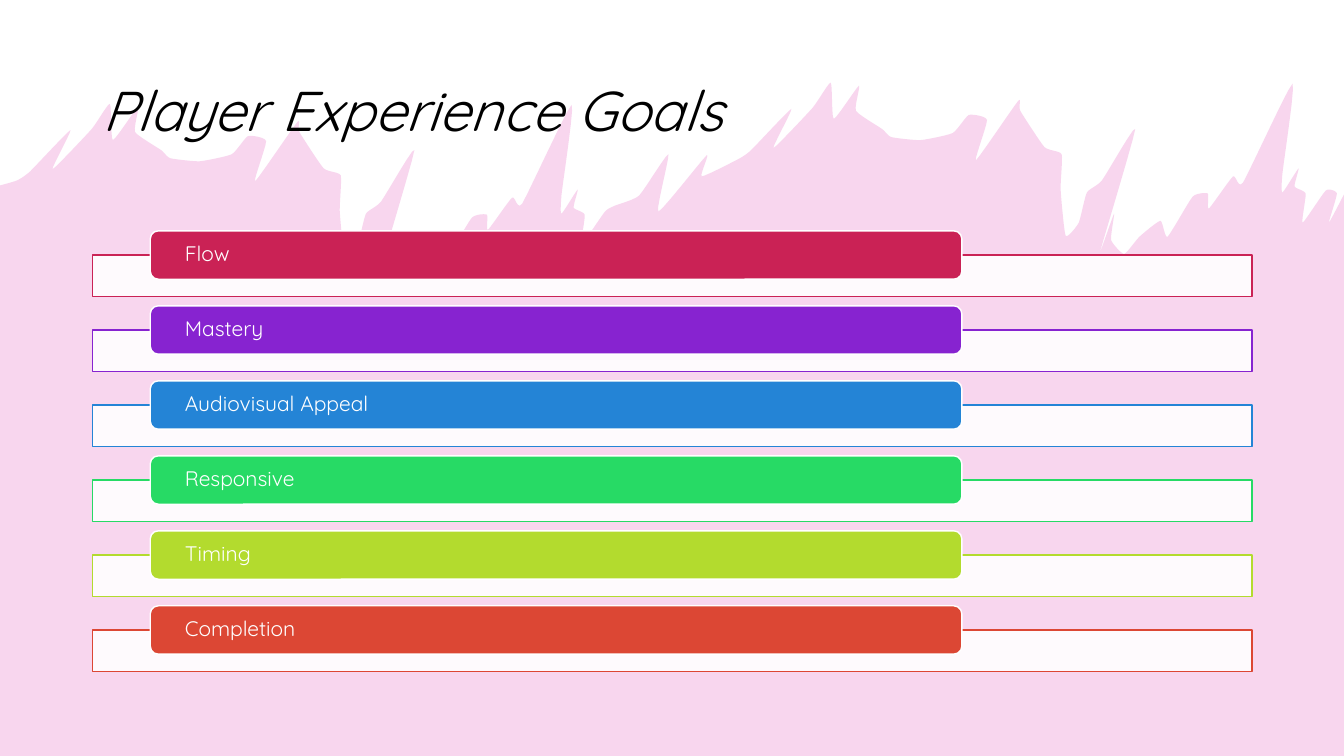
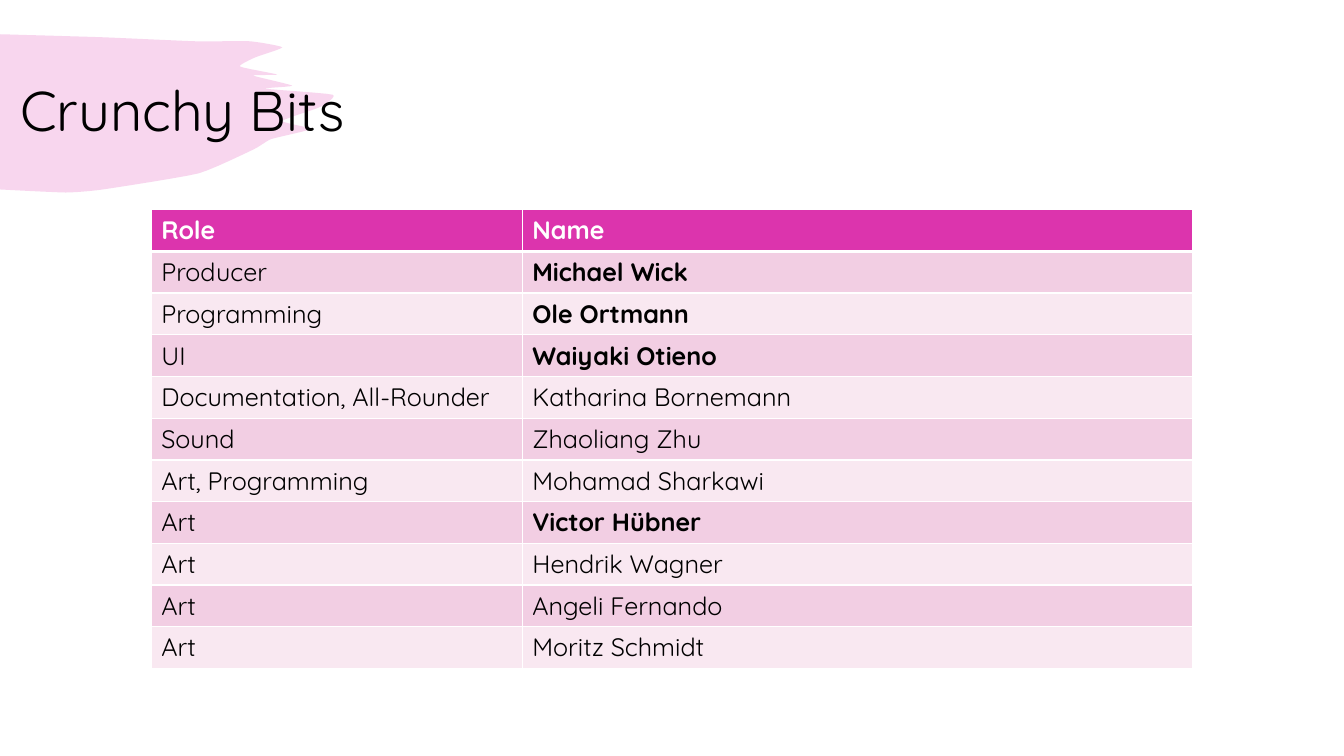
"""Build the player experience goals and team credits slides."""
from dataclasses import dataclass

from lxml.etree import SubElement
from pptx import Presentation
from pptx.dml.color import RGBColor
from pptx.enum.shapes import MSO_SHAPE
from pptx.enum.text import MSO_ANCHOR, MSO_AUTO_SIZE, PP_ALIGN
from pptx.oxml.ns import qn
from pptx.shapes.base import BaseShape
from pptx.slide import Slide
from pptx.table import _Cell
from pptx.text.text import _Paragraph
from pptx.util import Inches, Pt

FONT = "Quicksand"
WHITE = RGBColor(0xFF, 0xFF, 0xFF)
BLACK = RGBColor(0x00, 0x00, 0x00)
MAGENTA = RGBColor(0xDC, 0x34, 0xAD)
ROW_DARK = RGBColor(0xF2, 0xCE, 0xE3)
ROW_LIGHT = RGBColor(0xF9, 0xE8, 0xF1)

Point = tuple[float, float]


@dataclass(frozen=True)
class Goal:
    """A goal and the colour of its bar."""

    label: str
    color: RGBColor


@dataclass(frozen=True)
class Member:
    """A team member, with leads set in bold."""

    role: str
    name: str
    lead: bool = False


GOALS = (
    Goal("Flow", RGBColor(0xCA, 0x22, 0x55)),
    Goal("Mastery", RGBColor(0x87, 0x23, 0xD0)),
    Goal("Audiovisual Appeal", RGBColor(0x24, 0x84, 0xD6)),
    Goal("Responsive", RGBColor(0x27, 0xDA, 0x65)),
    Goal("Timing", RGBColor(0xB3, 0xDB, 0x2E)),
    Goal("Completion", RGBColor(0xDC, 0x47, 0x34)),
)

TEAM = (
    Member("Producer", "Michael Wick", True),
    Member("Programming", "Ole Ortmann", True),
    Member("UI", "Waiyaki Otieno", True),
    Member("Documentation, All-Rounder", "Katharina Bornemann"),
    Member("Sound", "Zhaoliang Zhu"),
    Member("Art, Programming", "Mohamad Sharkawi"),
    Member("Art", "Victor Hübner", True),
    Member("Art", "Hendrik Wagner"),
    Member("Art", "Angeli Fernando"),
    Member("Art", "Moritz Schmidt"),
)

BRUSH: list[Point] = [
    (0, 0.34), (1.02, 0.37), (1.94, 0.41), (2.48, 0.41), (2.8, 0.47), (2.53, 0.57), (2.38, 0.66),
    (2.75, 0.74), (2.51, 0.75), (2.9, 0.85), (2.63, 0.88), (3.3, 0.94), (3.18, 1.06), (2.8, 1.2),
    (3.08, 1.28), (2.69, 1.38), (2.52, 1.48), (1.97, 1.72), (1.02, 1.88), (0.65, 1.91), (0, 1.88),
]

SPLASH_SHIFT: Point = (-7.15, 0.21)
SPLASH: list[Point] = [
    (7.32, 1.58), (7.45, 1.49), (7.85, 1.08), (7.67, 1.47), (8.06, 1.07), (8.24, 0.82), (8.27, 1.18),
    (8.52, 0.85), (8.49, 1.1), (8.75, 1.28), (8.84, 1.36), (9.13, 1.39), (9.45, 1.32), (9.61, 1.14),
    (9.79, 1.19), (9.68, 1.59), (10.1, 1), (10.12, 1.1), (10.36, 1.46), (10.53, 1.53), (10.52, 1.88),
    (10.57, 2.34), (10.7, 2.21), (10.78, 1.91), (10.93, 1.79), (11.26, 1.28), (10.91, 2.5), (11.05, 2.12),
    (11.02, 2.38), (11.15, 2.52), (11.3, 2.35), (11.51, 2.19), (11.58, 2.35), (11.83, 1.95), (11.98, 1.92),
    (11.99, 2.07), (12.23, 1.75), (12.33, 1.81), (12.82, 0.83), (12.72, 1.72), (12.72, 1.91), (12.88, 1.67),
    (12.84, 1.85), (12.95, 1.92), (12.92, 2.21), (13.15, 1.89),
]
BRIDGE: list[Point] = [(6.1, 2.04), (6.34, 1.94), (6.63, 1.53), (6.53, 2.1), (7.01, 1.54), (6.96, 1.75)]
EDGE: list[Point] = [(13.26, 1.92), (13.18, 2.21), (13.33, 1.93)]


def smooth(anchors: list[Point], tension: float = 0.25, steps: int = 6) -> list[Point]:
    """Return points along a rounded line through the anchors."""
    padded = [anchors[0], *anchors, anchors[-1]]
    points = [anchors[0]]
    for before, start, end, after in zip(padded, padded[1:], padded[2:], padded[3:]):
        for step in range(1, steps + 1):
            t = step / steps
            blend = t * t * (3 - 2 * t)
            leave, arrive = t * (1 - t) ** 2 * tension, t * t * (t - 1) * tension
            x, y = (
                p + (q - p) * blend + (q - o) * leave + (r - p) * arrive
                for o, p, q, r in zip(before, start, end, after)
            )
            points.append((x, y))
    return points


def splash_outline() -> list[Point]:
    """Return the paint edge: one splash used twice, closed along the slide bottom."""
    dx, dy = SPLASH_SHIFT
    shifted = [(x + dx, y + dy) for x, y in SPLASH]
    return [(0, 7.5), *smooth([(0, 1.84), *shifted, *BRIDGE, *SPLASH, *EDGE]), (13.33, 7.5)]


def fill_shape(shape: BaseShape, color: RGBColor, opacity: int = 100) -> None:
    """Give a shape a flat fill of the given opacity in percent and no shadow."""
    shape.shadow.inherit = False
    shape.fill.solid()
    shape.fill.fore_color.rgb = color
    if opacity < 100:
        tint = shape.element.spPr.find(f".//{qn('a:srgbClr')}")
        SubElement(tint, qn("a:alpha"), val=str(opacity * 1000))


def style_runs(paragraph: _Paragraph, size: int, color: RGBColor, bold: bool = False, italic: bool = False) -> None:
    """Format every run of a paragraph."""
    for run in paragraph.runs:
        run.font.name = FONT
        run.font.size = Pt(size)
        run.font.color.rgb = color
        run.font.bold = bold
        run.font.italic = italic


def add_titled_slide(deck: Presentation, title: str, left: float, paint: list[Point], italic: bool = False) -> Slide:
    """Add a slide with its title over a pale paint shape."""
    slide = deck.slides.add_slide(deck.slide_layouts[5])
    heading = slide.shapes.title
    heading.left, heading.top, heading.width, heading.height = Inches(left), Inches(0.4), Inches(11.5), Inches(1.45)
    frame = heading.text_frame
    frame.text = title
    frame.word_wrap = True
    frame.auto_size = MSO_AUTO_SIZE.NONE
    frame.vertical_anchor = MSO_ANCHOR.MIDDLE
    paragraph = frame.paragraphs[0]
    paragraph.alignment = PP_ALIGN.LEFT
    paragraph.line_spacing = 0.9
    style_runs(paragraph, 40, BLACK, italic=italic)

    corners = [(Inches(x), Inches(y)) for x, y in paint]
    builder = slide.shapes.build_freeform(*corners[0])
    builder.add_line_segments(corners[1:], close=True)
    stain = builder.convert_to_shape()
    fill_shape(stain, MAGENTA, 20)
    stain.line.fill.background()
    heading.element.addprevious(stain.element)
    return slide


def add_goal(slide: Slide, goal: Goal, top: float) -> None:
    """Draw a goal bar over its pale band."""
    band = slide.shapes.add_shape(MSO_SHAPE.RECTANGLE, Inches(0.92), Inches(top + 0.24), Inches(11.5), Inches(0.41))
    fill_shape(band, WHITE, 90)
    bar = slide.shapes.add_shape(MSO_SHAPE.ROUNDED_RECTANGLE, Inches(1.49), Inches(top), Inches(8.05), Inches(0.48))
    fill_shape(bar, goal.color)
    for shape, color in ((band, goal.color), (bar, WHITE)):
        shape.line.color.rgb = color
        shape.line.width = Pt(1)
    frame = bar.text_frame
    frame.text = goal.label
    frame.word_wrap = True
    frame.vertical_anchor = MSO_ANCHOR.MIDDLE
    frame.margin_left = frame.margin_right = Inches(0.32)
    frame.margin_top = frame.margin_bottom = 0
    paragraph = frame.paragraphs[0]
    paragraph.alignment = PP_ALIGN.LEFT
    paragraph.line_spacing = 0.9
    style_runs(paragraph, 15, WHITE)


def set_cell(cell: _Cell, text: str, row: int, bold: bool) -> None:
    """Fill, border and label a cell according to its row."""
    properties = cell._tc.get_or_add_tcPr()
    widths = {"L": 1, "R": 1, "T": 3 if row == 1 else 1, "B": 3 if row == 0 else 1}
    for side, width in widths.items():
        border = SubElement(properties, qn(f"a:ln{side}"), w=str(Pt(width)))
        SubElement(SubElement(border, qn("a:solidFill")), qn("a:srgbClr"), val=str(WHITE))
    cell.fill.solid()
    cell.fill.fore_color.rgb = MAGENTA if row == 0 else ROW_DARK if row % 2 else ROW_LIGHT
    cell.text_frame.text = text
    style_runs(cell.text_frame.paragraphs[0], 18, WHITE if row == 0 else BLACK, bold)


def add_team_table(slide: Slide) -> None:
    """Add the table of roles and names."""
    rows = len(TEAM) + 1
    table = slide.shapes.add_table(rows, 2, Inches(1.5), Inches(2.08), Inches(10.33), Inches(4.46)).table
    for column, width in zip(table.columns, (3.68, 6.65)):
        column.width = Inches(width)
    set_cell(table.cell(0, 0), "Role", 0, True)
    set_cell(table.cell(0, 1), "Name", 0, True)
    for row, member in enumerate(TEAM, start=1):
        set_cell(table.cell(row, 0), member.role, row, False)
        set_cell(table.cell(row, 1), member.name, row, member.lead)


def main() -> None:
    """Build and save the deck."""
    deck = Presentation()
    deck.slide_width, deck.slide_height = Inches(13.33), Inches(7.5)
    goals_slide = add_titled_slide(deck, "Player Experience Goals", 0.92, splash_outline(), italic=True)
    for index, goal in enumerate(GOALS):
        add_goal(goals_slide, goal, 2.29 + index * 3.72 / 5)
    team_slide = add_titled_slide(deck, "Crunchy Bits", 0.1, smooth(BRUSH))
    add_team_table(team_slide)
    deck.save("out.pptx")


if __name__ == "__main__":
    main()
